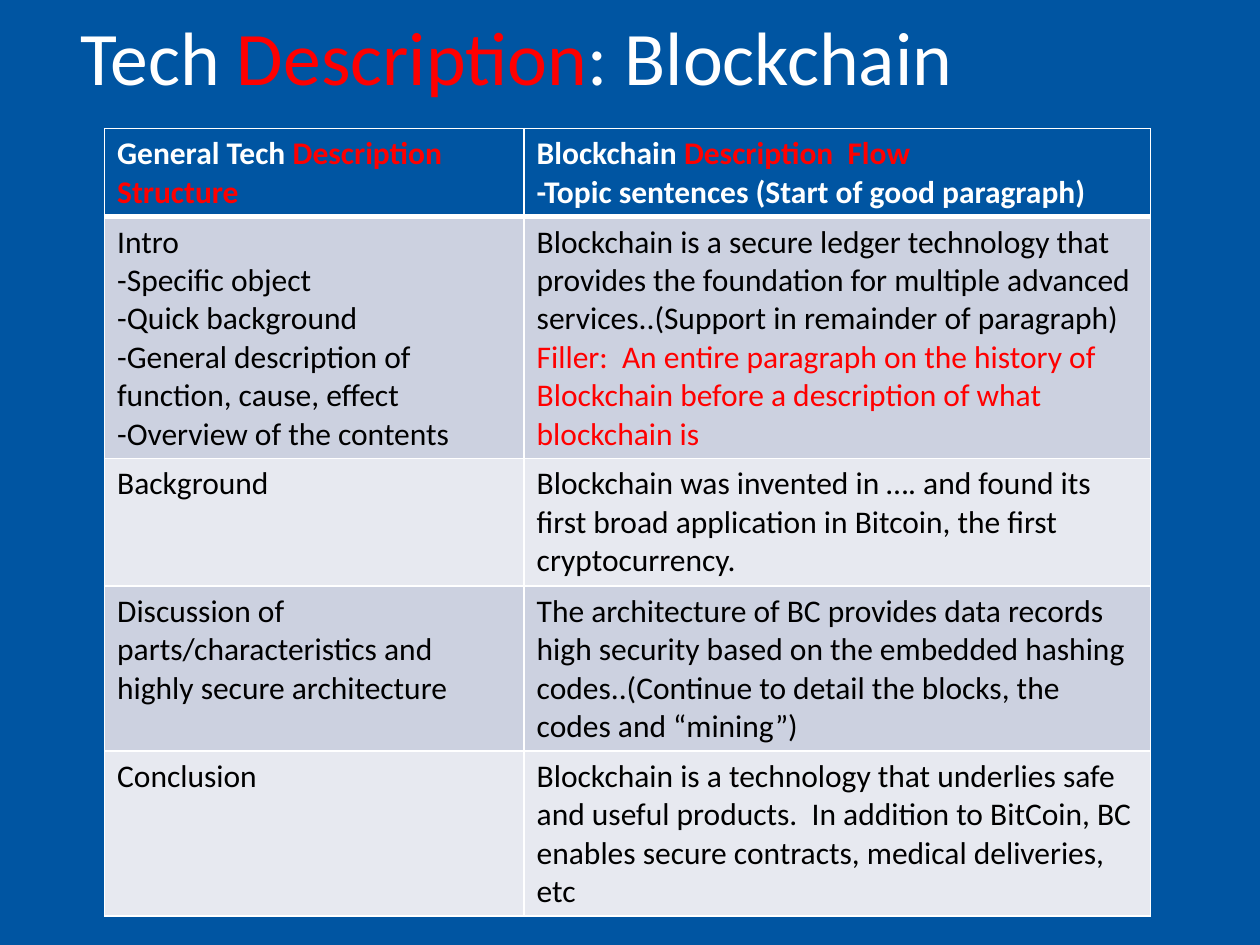
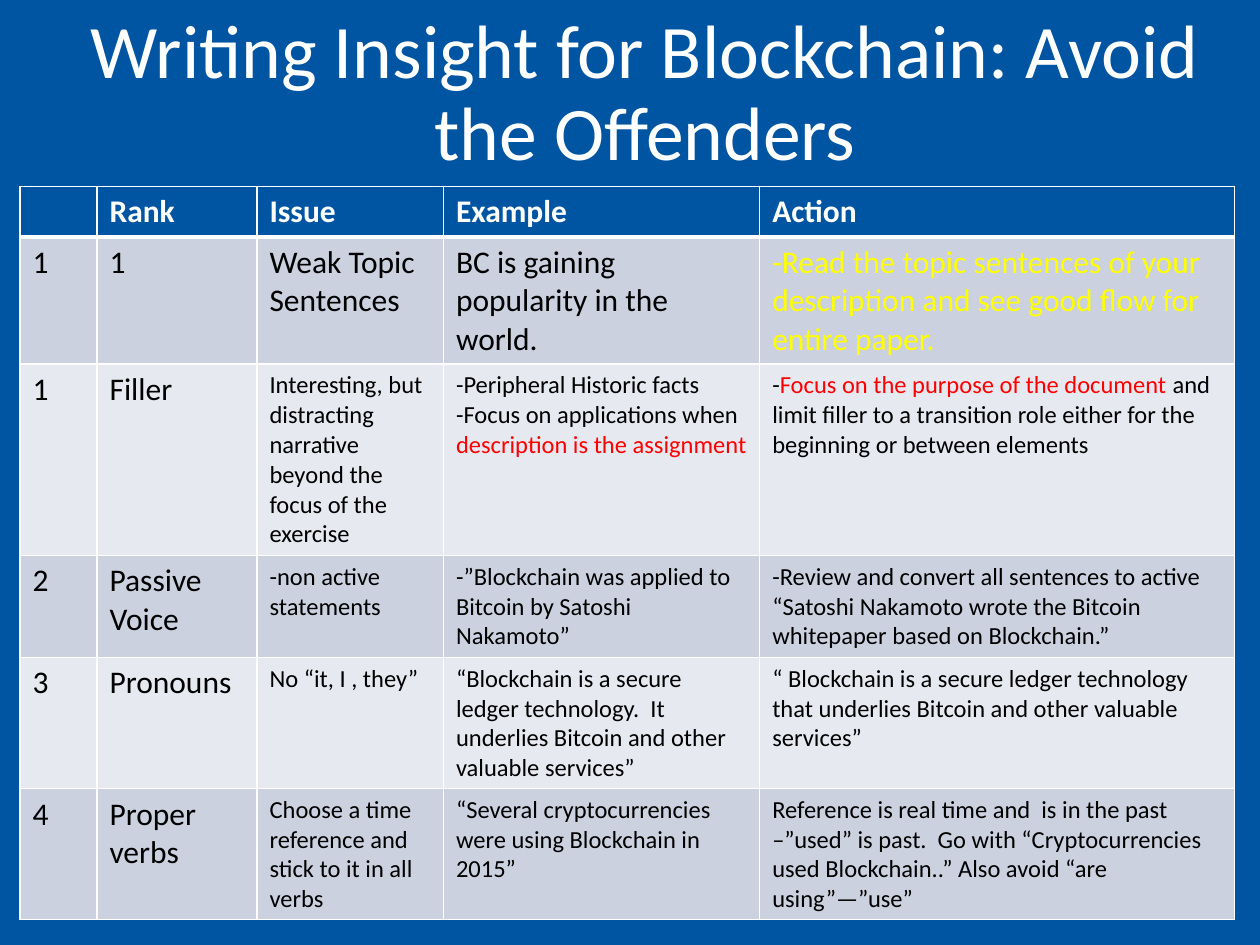
"""Build two slides on structuring and polishing a blockchain description."""
from lxml.etree import SubElement
from pptx import Presentation
from pptx.dml.color import RGBColor
from pptx.enum.text import MSO_ANCHOR, PP_ALIGN
from pptx.oxml.ns import qn
from pptx.util import Inches, Pt

BLUE = RGBColor(0x00, 0x55, 0xA2)
WHITE = RGBColor(0xFF, 0xFF, 0xFF)
BLACK = RGBColor(0x00, 0x00, 0x00)
RED = RGBColor(0xFF, 0x00, 0x00)
YELLOW = RGBColor(0xFF, 0xFF, 0x00)
BANDS = (RGBColor(0xCC, 0xD1, 0xE0), RGBColor(0xE7, 0xE9, 0xF0))
FONT = "Calibri"

# A cell is a string or a list of paragraphs; a paragraph is a string or a
# list of runs; a run is a string or a (text, colour) pair.
STRUCTURE = [
    ([["General Tech ", ("Description Structure", RED)]],
     [["Blockchain ", ("Description  Flow", RED)],
      "-Topic sentences (Start of good paragraph)"]),
    (["Intro", "-Specific object", "-Quick background",
      "-General description of function, cause, effect",
      "-Overview of the contents"],
     ["Blockchain is a secure ledger technology that provides the foundation for "
      "multiple advanced services..(Support in remainder of paragraph)",
      [("Filler:  An entire paragraph on the history of Blockchain before a "
        "description of what blockchain is", RED)]]),
    ("Background",
     "Blockchain was invented in …. and found its first broad application in "
     "Bitcoin, the first cryptocurrency."),
    ("Discussion of parts/characteristics and highly secure architecture",
     "The architecture of BC provides data records high security based on the "
     "embedded hashing codes..(Continue to detail the blocks, the codes and “mining”)"),
    ("Conclusion",
     "Blockchain is a technology that underlies safe and useful products.  In "
     "addition to BitCoin, BC enables secure contracts, medical deliveries, etc"),
]

OFFENDERS = [
    ("", "Rank", "Issue", "Example", "Action"),
    ("1", "1", "Weak Topic Sentences", "BC is gaining popularity in the world.",
     [[("-Read the topic sentences of your description and see good flow for "
        "entire paper.", YELLOW)]]),
    ("1", "Filler",
     "Interesting, but distracting narrative beyond the focus of the exercise",
     ["-Peripheral Historic facts",
      ["-Focus on applications when ", ("description is the assignment", RED)]],
     [["-", ("Focus on the purpose of the document", RED),
       " and limit filler to a transition role either for the beginning or "
       "between elements"]]),
    ("2", "Passive Voice", "-non active statements",
     "-”Blockchain was applied to Bitcoin by Satoshi Nakamoto”",
     "-Review and convert all sentences to active “Satoshi Nakamoto wrote the "
     "Bitcoin whitepaper based on Blockchain.”"),
    ("3", "Pronouns", "No “it, I , they”",
     "“Blockchain is a secure ledger technology.  It underlies Bitcoin and other "
     "valuable services”",
     "“ Blockchain is a secure ledger technology that underlies Bitcoin and other "
     "valuable services”"),
    ("4", "Proper verbs", "Choose a time reference and stick to it in all verbs",
     "“Several cryptocurrencies were using Blockchain in 2015”",
     "Reference is real time and  is in the past –”used” is past.  Go with "
     "“Cryptocurrencies used Blockchain..” Also avoid “are using”—”use”"),
]

SLIDES = [
    {"title": ["Tech ", ("Description", RED), ": Blockchain"],
     "title_box": (0.54, 0, 8.91, 0.97), "align": PP_ALIGN.LEFT,
     "rows": STRUCTURE, "origin": (0.83, 1.02), "widths": (3.33, 4.97),
     "heights": (0.7, 1.92, 1.01, 1.31, 1.31), "small_from": None},
    {"title": "Writing Insight for Blockchain: Avoid the Offenders",
     "title_box": (0.24, 0.27, 9.76, 0.97), "align": PP_ALIGN.CENTER,
     "rows": OFFENDERS, "origin": (0.16, 1.48),
     "widths": (0.61, 1.27, 1.48, 2.51, 3.77),
     "heights": (0.4, 1.01, 1.52, 0.81, 1.04, 1.04), "small_from": (2, 2)},
]


def add_runs(p, runs, color, **fmt):
    for run in [runs] if isinstance(runs, str) else runs:
        text, run_color = (run, color) if isinstance(run, str) else run
        r = p.add_run()
        r.text = text
        r.font.color.rgb = run_color
        for name, value in {"name": FONT, **fmt}.items():
            setattr(r.font, name, value)


def add_title(s, runs, box, align):
    tf = s.shapes.add_textbox(*map(Inches, box)).text_frame
    tf.word_wrap = True
    tf.vertical_anchor = MSO_ANCHOR.MIDDLE
    p = tf.paragraphs[0]
    p.alignment = align
    p.line_spacing = 0.9
    add_runs(p, runs, WHITE, size=Pt(43.2))


def set_borders(cell, widths):
    tc_pr = cell._tc.get_or_add_tcPr()
    for i, (side, width) in enumerate(widths.items()):
        ln = tc_pr.makeelement(qn(f"a:ln{side}"), {"w": str(Pt(width))})
        fill = SubElement(ln, qn("a:solidFill"))
        SubElement(fill, qn("a:srgbClr"), val=str(WHITE))
        tc_pr.insert(i, ln)


def fill_cell(cell, content, header, band, size):
    cell.fill.solid()
    cell.fill.fore_color.rgb = BLUE if header else band
    set_borders(cell, {"L": 1, "R": 1, "T": 1, "B": 3 if header else 1})
    tf = cell.text_frame
    for i, runs in enumerate([content] if isinstance(content, str) else content):
        p = tf.paragraphs[0] if i == 0 else tf.add_paragraph()
        if runs:
            add_runs(p, runs, WHITE if header else BLACK, size=Pt(size), bold=header)


def add_grid(s, rows, origin, widths, heights, small_from):
    box = (*origin, sum(widths), sum(heights))
    table = s.shapes.add_table(len(rows), len(widths), *map(Inches, box)).table
    for col, width in zip(table.columns, widths):
        col.width = Inches(width)
    for row, height in zip(table.rows, heights):
        row.height = Inches(height)
    for i, row in enumerate(rows):
        for j, content in enumerate(row):
            small = small_from and i >= small_from[0] and j >= small_from[1]
            header = i == 0
            if i == 1:
                set_top = {"T": 3}
            fill_cell(table.cell(i, j), content, header, BANDS[(i - 1) % 2],
                      14 if small else 18)


def main():
    prs = Presentation()
    prs.slide_width, prs.slide_height = Inches(10), Inches(7.5)
    for spec_ in SLIDES:
        s = prs.slides.add_slide(prs.slide_layouts[6])
        s.background.fill.solid()
        s.background.fill.fore_color.rgb = BLUE
        add_title(s, spec_["title"], spec_["title_box"], spec_["align"])
        add_grid(s, *(spec_[key] for key in
                      ("rows", "origin", "widths", "heights", "small_from")))
    prs.save("out.pptx")


if __name__ == "__main__":
    main()
